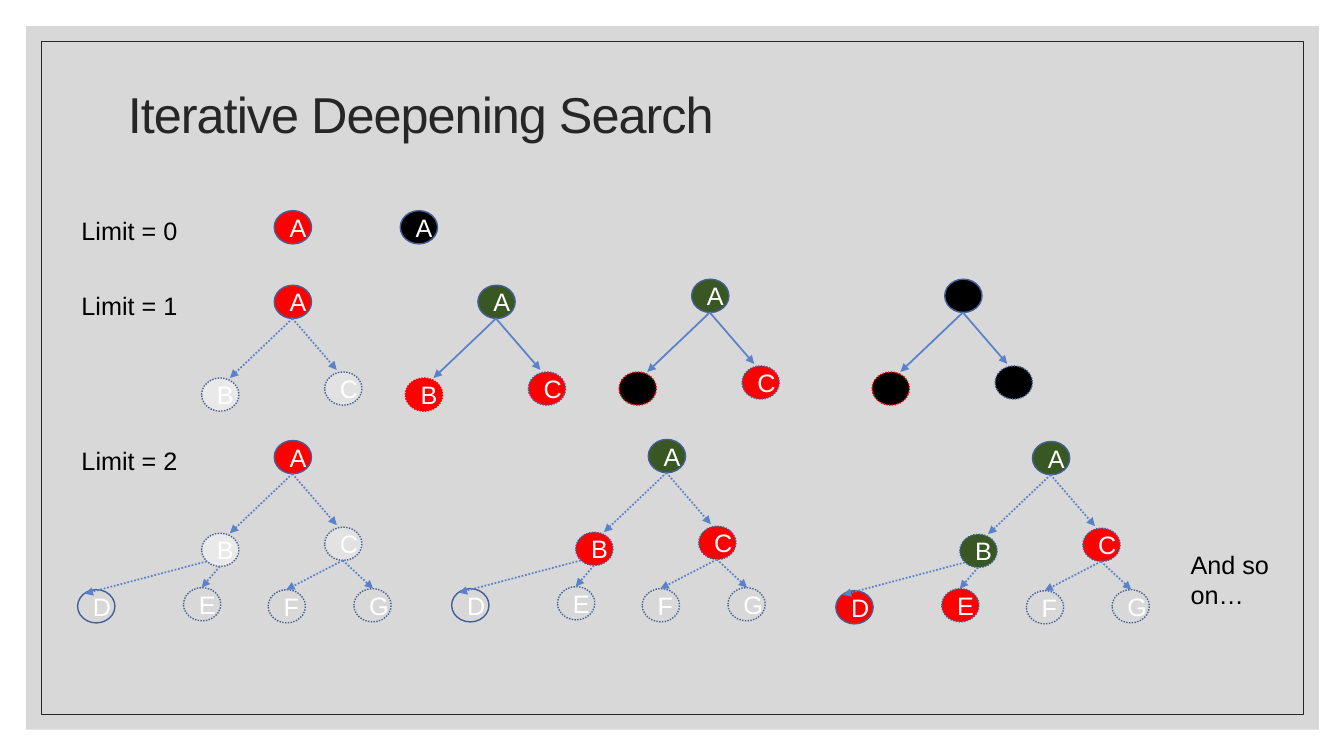
from dataclasses import dataclass
from typing import Any, Optional

from pptx import Presentation
from pptx.dml.color import RGBColor
from pptx.enum.dml import MSO_LINE_DASH_STYLE as Dash
from pptx.enum.shapes import MSO_CONNECTOR as Connector, MSO_SHAPE as Preset
from pptx.enum.text import MSO_ANCHOR as Anchor, MSO_AUTO_SIZE as AutoSize, PP_ALIGN as Align
from pptx.oxml.ns import qn
from pptx.util import Emu, Pt
from lxml.etree import SubElement

PX = 9144  # EMU in one px, 100 px to the inch
NODE_WIDTH, NODE_HEIGHT = 37, 33
COLOURS = {
    "frame": "BFBFBF", "ink": "262626", "black": "000000", "white": "FFFFFF",
    "red": "FF0000", "green": "385723", "pale": "F3F3F3",
    "outline": "436096", "edge": "5A82CB",
}


@dataclass(frozen=True)
class State:
    fill: Optional[str] = None
    alpha: int = 100
    labelled: bool = True


@dataclass(frozen=True)
class Tree:
    x: int
    y: int
    states: tuple[State, ...]  # in the order A to G
    dotted_edges: bool = True
    b_outline: str = "outline"


@dataclass(frozen=True)
class Caption:
    text: str
    box: tuple[int, int, int, int]


FRONTIER = State("red")
EXPANDED = State("green")
FINISHED = State("black")
REMOVED = State("black", labelled=False)
PALE_B = State("pale", 64)
PALE_C = State("pale", 39)
UNSEEN = State()

# Node places and edges, measured from the corner of root A
OFFSETS = {
    "A": (0, 0), "B": (-72, 92), "C": (50, 86),
    "D": (-195, 148), "E": (-90, 146), "F": (-6, 148), "G": (79, 147),
}
EDGES = {
    "B": (18, 33, -44, 92), "C": (18, 33, 62, 84),
    "D": (-67, 120, -188, 152), "E": (-54, 125, -72, 146),
    "F": (68, 119, 12, 148), "G": (68, 119, 98, 147),
}

TREES = [
    # Limit = 0
    Tree(272, 209, (FRONTIER,)),
    Tree(397, 209, (FINISHED,)),
    # Limit = 1
    Tree(272, 283, (FRONTIER, PALE_B, PALE_C)),
    Tree(474, 283, (EXPANDED, FRONTIER, FRONTIER), False, "red"),
    Tree(686, 277, (EXPANDED, REMOVED, FRONTIER), False, "red"),
    Tree(937, 277, (REMOVED, REMOVED, REMOVED), False, "red"),
    # Limit = 2
    Tree(272, 437, (FRONTIER, PALE_B, PALE_C) + (UNSEEN,) * 4),
    Tree(643, 436, (EXPANDED, FRONTIER, FRONTIER) + (UNSEEN,) * 4),
    Tree(1024, 438, (EXPANDED, EXPANDED) + (FRONTIER,) * 3 + (UNSEEN,) * 2),
]
CAPTIONS = [
    Caption("Limit = 0", (71, 209, 147, 40)),
    Caption("Limit = 1", (71, 283, 123, 40)),
    Caption("Limit = 2", (71, 437, 152, 40)),
    Caption("And so on…", (1171, 540, 99, 71)),
]


def px(*lengths: int) -> list[Emu]:
    return [Emu(length * PX) for length in lengths]


def colour(name: str) -> RGBColor:
    return RGBColor.from_string(COLOURS[name])


def set_all(target: Any, values: dict[str, Any]) -> None:
    for attribute, value in values.items():
        setattr(target, attribute, value)


def write(frame: Any, text: str, ink: str, size: int = 18) -> Any:
    paragraph = frame.paragraphs[0]
    run = paragraph.add_run()
    run.text = text
    set_all(run.font, {"name": "Arial", "size": Pt(size)})
    run.font.color.rgb = colour(ink)
    return paragraph


def add_panel(canvas: Any, preset: Any, box: tuple[int, ...], state: State,
              outline: Optional[str], width: float = 1) -> Any:
    panel = canvas.add_shape(preset, *px(*box))
    panel.shadow.inherit = False
    if state.fill:
        panel.fill.solid()
        panel.fill.fore_color.rgb = colour(state.fill)
        if state.alpha < 100:
            rgb = panel.fill._xPr.find(f"{qn('a:solidFill')}/{qn('a:srgbClr')}")
            SubElement(rgb, qn("a:alpha"), val=str(state.alpha * 1000))
    else:
        panel.fill.background()
    if outline:
        panel.line.color.rgb = colour(outline)
        panel.line.width = Pt(width)
    else:
        panel.line.fill.background()
    return panel


def add_edge(canvas: Any, ends: tuple[int, ...], dotted: bool) -> None:
    edge = canvas.add_connector(Connector.STRAIGHT, *px(*ends))
    edge.line.color.rgb = colour("edge")
    edge.line.width = Pt(1.25)
    if dotted:
        edge.line.dash_style = Dash.ROUND_DOT
    SubElement(edge.line._get_or_add_ln(), qn("a:tailEnd"), type="triangle")
    SubElement(edge._element.spPr, qn("a:effectLst"))


def add_tree(slide: Any, tree: Tree) -> None:
    deep = len(tree.states) == len(OFFSETS)
    canvas = slide.shapes.add_group_shape().shapes if deep else slide.shapes
    letters = list(OFFSETS)[:len(tree.states)]
    for letter, state in zip(letters, tree.states):
        dx, dy = OFFSETS[letter]
        box = (tree.x + dx, tree.y + dy, NODE_WIDTH, NODE_HEIGHT)
        outline = tree.b_outline if letter == "B" else "outline"
        node = add_panel(canvas, Preset.OVAL, box, state, outline)
        if letter not in "AD":
            node.line.dash_style = Dash.ROUND_DOT
        if state.labelled:
            node.text_frame.vertical_anchor = Anchor.MIDDLE
            write(node.text_frame, letter, "white").alignment = Align.CENTER
    for letter in letters[1:]:
        x1, y1, x2, y2 = EDGES[letter]
        ends = (tree.x + x1, tree.y + y1, tree.x + x2, tree.y + y2)
        add_edge(canvas, ends, tree.dotted_edges)


def add_caption(slide: Any, caption: Caption) -> None:
    frame = slide.shapes.add_textbox(*px(*caption.box)).text_frame
    set_all(frame, {"word_wrap": True, "auto_size": AutoSize.SHAPE_TO_FIT_TEXT})
    write(frame, caption.text, "black")


def add_title(slide: Any) -> None:
    frame = slide.shapes.add_textbox(*px(117, 41, 1100, 150)).text_frame
    set_all(frame, {"word_wrap": True, "vertical_anchor": Anchor.MIDDLE})
    title = write(frame, "Iterative Deepening Search", "ink", 36)
    title.line_spacing = 0.9
    title.runs[0].font._element.set("spc", "-70")


def main() -> None:
    deck = Presentation()
    deck.slide_width, deck.slide_height = px(1333, 750)
    slide = deck.slides.add_slide(deck.slide_layouts[6])

    # Frame and title
    add_panel(slide.shapes, Preset.RECTANGLE, (26, 26, 1282, 698), State("frame", 60), None)
    add_panel(slide.shapes, Preset.RECTANGLE, (41, 41, 1252, 668), UNSEEN, "ink", 0.5)
    add_title(slide)

    # Search trees and their captions
    for tree in TREES:
        add_tree(slide, tree)
    for caption in CAPTIONS:
        add_caption(slide, caption)

    deck.save("out.pptx")


if __name__ == "__main__":
    main()
